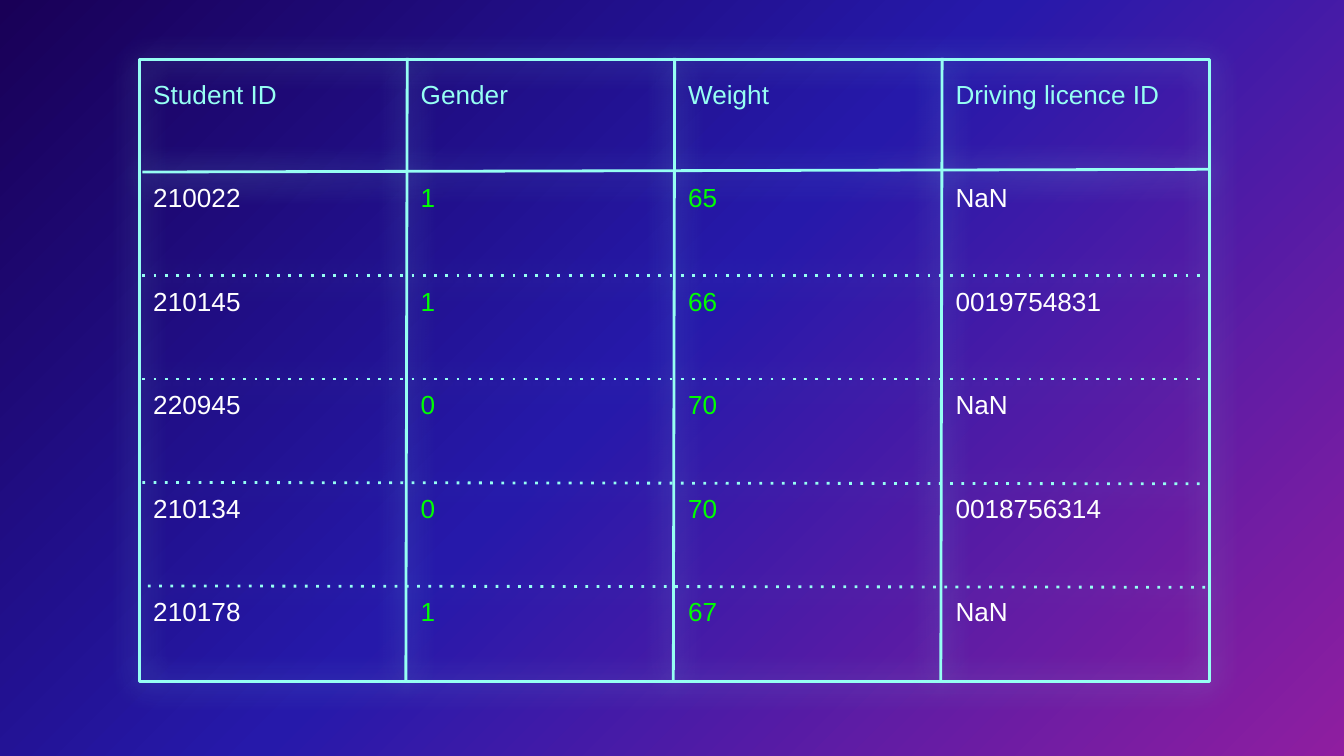
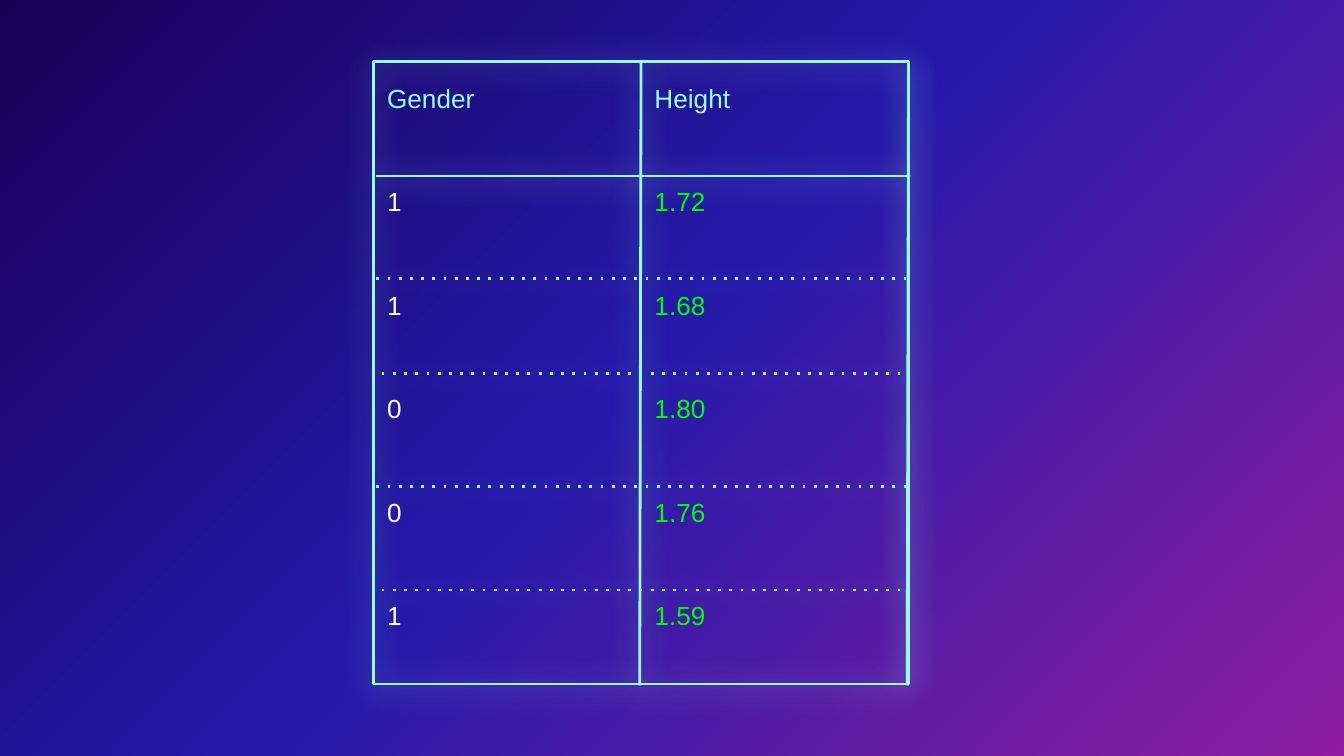
from dataclasses import dataclass

from lxml import etree
from pptx import Presentation
from pptx.dml.color import RGBColor
from pptx.enum.shapes import MSO_CONNECTOR as CONN, MSO_SHAPE as SHAPE
from pptx.oxml import parse_xml
from pptx.oxml.ns import nsdecls, qn
from pptx.util import Inches, Pt

# Content: rules run (x1, y1, x2, y2), the first one under the header
TABLES = [
    {
        "left": 1.04, "top": 0.5, "frame_top": 0.44, "green": {1, 2}, "uprights": 3,
        "rows": [
            ["Student ID", "Gender", "Weight", "Driving licence ID"],
            ["210022", "1", "65", "NaN"],
            ["210145", "1", "66", "0019754831"],
            ["220945", "0", "70", "NaN"],
            ["210134", "0", "70", "0018756314"],
            ["210178", "1", "67", "NaN"],
        ],
        "rules": [
            (1.06, 1.28, 8.99, 1.26),
            (1.06, 2.05, 8.94, 2.05),
            (1.06, 2.82, 8.94, 2.82),
            (1.06, 3.59, 8.94, 3.6),
            (1.1, 4.36, 8.99, 4.37),
        ],
    },
    {
        "left": 2.78, "top": 0.53, "frame_top": 0.46, "green": {1}, "uprights": 2,
        "rows": [
            ["Gender", "Height"],
            ["1", "1.72"],
            ["1", "1.68"],
            ["0", "1.80"],
            ["0", "1.76"],
            ["1", "1.59"],
        ],
        "rules": [
            (2.8, 1.31, 6.76, 1.31),
            (2.8, 2.07, 6.76, 2.07),
            (2.84, 2.78, 6.76, 2.78),
            (2.8, 3.62, 6.77, 3.62),
            (2.84, 4.39, 6.76, 4.39),
        ],
    },
]


@dataclass(frozen=True)
class Theme:
    font: str = "Arial"
    size: float = 14
    neon: str = "96FFF3"
    text: str = "FFFFFF"
    number: str = "00FF00"
    line: float = 1.5
    backdrop: tuple = ((0, "190057"), (48, "2619AA"), (100, "8F1EA0"))


T = Theme()
COL_W, ROW_H = 1.99, 0.77
FRAME_H, LINE_H = 4.63, 4.64
RISE, LEAN = 0.07, 0.01  # uprights start above the table and lean slightly
NO_STYLE = "{2D5ABB26-0587-4C30-8999-92F81FD0307C}"


def paint_background(slide):
    fill = slide.background.fill
    fill.gradient()
    fill.gradient_angle = 315
    stops = slide.background._cSld.find(".//" + qn("a:gsLst"))
    for old in list(stops):
        stops.remove(old)
    for pos, color in T.backdrop:
        stop = etree.SubElement(stops, qn("a:gs"), pos=str(pos * 1000))
        etree.SubElement(stop, qn("a:srgbClr"), val=color)


def make_neon(sp, dotted=False):
    """Give a shape or line the bright stroke and its soft halo."""
    sp.line.color.rgb = RGBColor.from_string(T.neon)
    sp.line.width = Pt(T.line)
    sp_pr = sp._element.spPr
    if dotted:
        etree.SubElement(sp_pr.find(qn("a:ln")), qn("a:prstDash"), val="dot")
    sp_pr.append(parse_xml(
        f'<a:effectLst {nsdecls("a")}><a:outerShdw blurRad="{Pt(15.8)}" '
        f'dist="{Pt(1.5)}" dir="5400000" algn="bl" rotWithShape="0">'
        f'<a:srgbClr val="{T.neon}"><a:alpha val="67000"/></a:srgbClr>'
        '</a:outerShdw></a:effectLst>'))


def add_line(slide, points, dotted=False):
    ends = [Inches(v) for v in points]
    make_neon(slide.shapes.add_connector(CONN.STRAIGHT, *ends), dotted)


def add_grid(slide, data):
    left, top = data["left"], data["top"]
    # Outer frame
    box = (left, data["frame_top"], len(data["rows"][0]) * COL_W, FRAME_H)
    frame = slide.shapes.add_shape(SHAPE.RECTANGLE, *map(Inches, box))
    frame.fill.background()
    make_neon(frame)
    # Column and row lines
    y = top - RISE
    for i in range(1, data["uprights"] + 1):
        x = left + i * COL_W
        add_line(slide, (x - LEAN, y + LINE_H, x, y))
    for i, points in enumerate(data["rules"]):
        add_line(slide, points, dotted=i > 0)


def cell_color(row, col, green):
    if row == 0:
        return T.neon
    return T.number if col in green else T.text


def add_data(slide, data):
    rows = data["rows"]
    n_rows, n_cols = len(rows), len(rows[0])
    box = (data["left"], data["top"], n_cols * COL_W, n_rows * ROW_H)
    table = slide.shapes.add_table(n_rows, n_cols, *map(Inches, box)).table
    table.first_row = table.horz_banding = False
    table._tbl.tblPr.find(qn("a:tableStyleId")).text = NO_STYLE
    for r, row in enumerate(rows):
        for c, value in enumerate(row):
            cell = table.cell(r, c)
            cell.fill.background()
            cell.margin_left = cell.margin_right = Inches(0.1)
            cell.margin_top = cell.margin_bottom = Inches(0.1)
            cell.text = value
            font = cell.text_frame.paragraphs[0].font
            font.name, font.size = T.font, Pt(T.size)
            font.color.rgb = RGBColor.from_string(cell_color(r, c, data["green"]))


def main():
    prs = Presentation()
    prs.slide_width = Inches(10)
    prs.slide_height = prs.slide_width * 9 // 16
    for data in TABLES:
        slide = prs.slides.add_slide(prs.slide_layouts[6])
        paint_background(slide)
        add_grid(slide, data)
        add_data(slide, data)
    prs.save("out.pptx")


if __name__ == "__main__":
    main()
